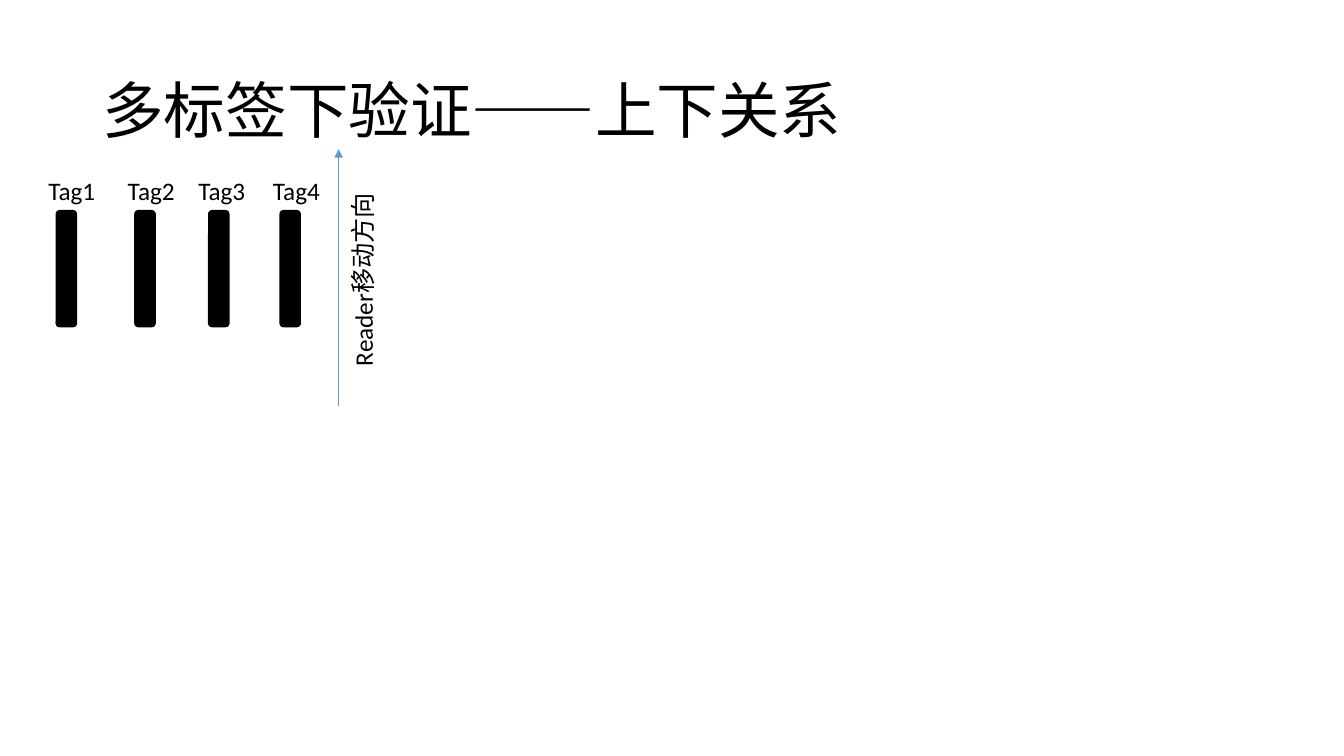
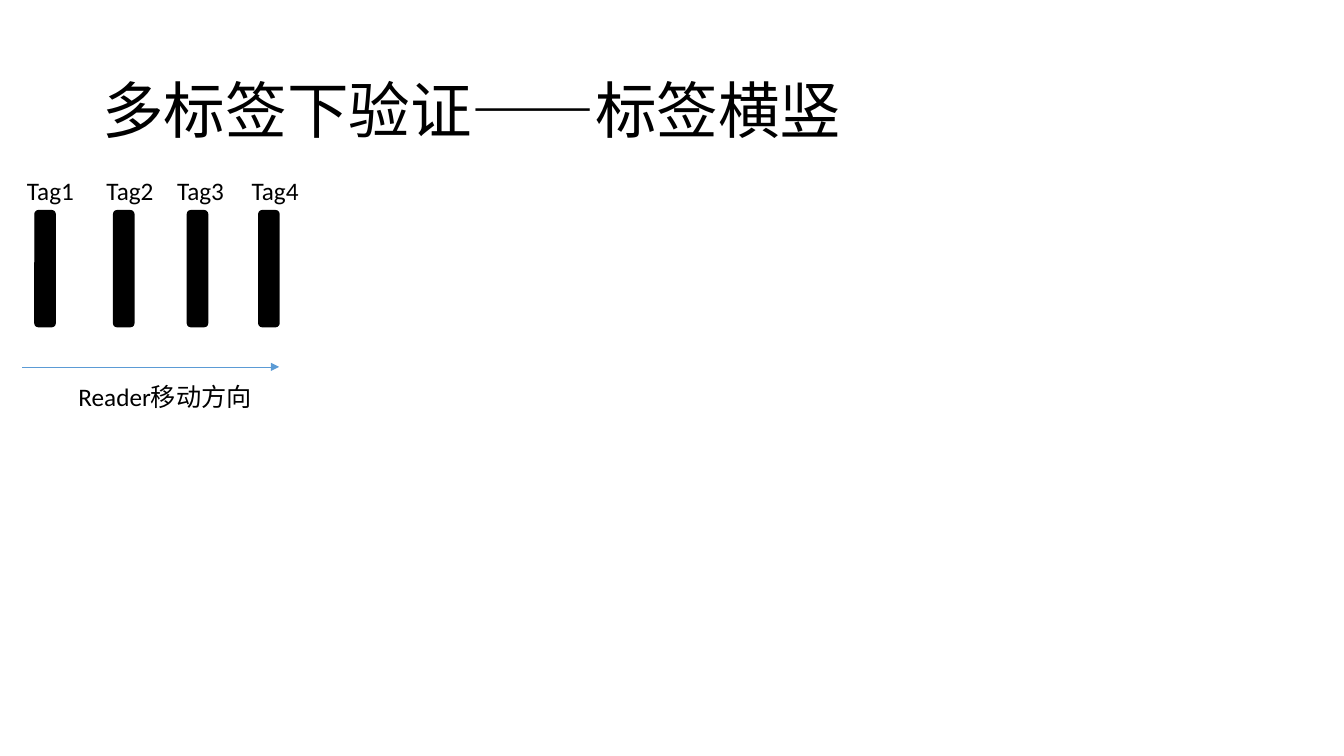
from lxml import etree
from pptx import Presentation
from pptx.dml.color import RGBColor
from pptx.enum.lang import MSO_LANGUAGE_ID
from pptx.enum.shapes import MSO_CONNECTOR, MSO_SHAPE
from pptx.enum.text import MSO_ANCHOR
from pptx.oxml.ns import qn
from pptx.util import Pt

ROUNDED = MSO_SHAPE.ROUNDED_RECTANGLE
STRAIGHT = MSO_CONNECTOR.STRAIGHT
TOP, MIDDLE = MSO_ANCHOR.TOP, MSO_ANCHOR.MIDDLE
CHINESE = MSO_LANGUAGE_ID.SIMPLIFIED_CHINESE

# Left edges of each tag's bar and label, measured from the row's start
TAGS = [
    ("Tag1", 12.8, 0),
    ("Tag2", 69, 56.8),
    ("Tag3", 121.7, 107.2),
    ("Tag4", 172.7, 160.5),
]


class Slides:
    COLORS = {"ink": "000000", "arrow": "5B9BD5"}
    FONT = "Calibri"

    def __init__(self):
        self.deck = Presentation()
        self.deck.slide_width, self.deck.slide_height = Pt(960), Pt(540)
        self.page = None

    def color(self, name):
        return RGBColor.from_string(self.COLORS[name])

    def add_page(self, title):
        self.page = self.deck.slides.add_slide(self.deck.slide_layouts[6])
        self.text(title, 66, 28.8, 828, 104.4, size=44, anchor=MIDDLE, spacing=0.9)

    def text(self, words, left, top, width, height=28.8, size=18,
             anchor=TOP, spacing=1.0, wrap=True, rotation=0):
        box = self.page.shapes.add_textbox(Pt(left), Pt(top), Pt(width), Pt(height))
        box.rotation = rotation
        frame = box.text_frame
        frame.word_wrap = wrap
        frame.vertical_anchor = anchor
        para = frame.paragraphs[0]
        para.line_spacing = spacing
        span = para.add_run()
        span.text = words
        span.font.name = self.FONT
        span.font.size = Pt(size)
        span.font.language_id = CHINESE
        span.font.color.rgb = self.color("ink")

    def bar(self, left, top, width, height):
        bar = self.page.shapes.add_shape(ROUNDED, Pt(left), Pt(top), Pt(width), Pt(height))
        bar.shadow.inherit = False
        bar.fill.solid()
        bar.fill.fore_color.rgb = self.color("ink")
        bar.line.color.rgb = self.color("ink")
        bar.line.width = Pt(1)

    def tag_row(self, start):
        for name, bar_offset, label_offset in TAGS:
            self.bar(start + bar_offset, 150.5, 14.4, 82.8)
            self.text(name, start + label_offset, 121.7, 48.2, wrap=False)

    def arrow(self, x1, y1, x2, y2):
        arrow = self.page.shapes.add_connector(STRAIGHT, Pt(x1), Pt(y1), Pt(x2), Pt(y2))
        arrow.line.color.rgb = self.color("arrow")
        arrow.line.width = Pt(0.5)
        etree.SubElement(arrow.line._get_or_add_ln(), qn("a:tailEnd"), type="triangle")
        etree.SubElement(arrow._element.spPr, qn("a:effectLst"))

    def direction(self, left, top, rotation=0):
        """Caption for the reader's direction of movement."""
        self.text("Reader移动方向", left, top, 139.7, rotation=rotation)


def main():
    slides = Slides()

    slides.add_page("多标签下验证——上下关系")
    slides.tag_row(27.4)
    slides.arrow(241.9, 290.2, 241.9, 106.6)
    slides.direction(189.4, 184.3, rotation=270)

    slides.add_page("多标签下验证——标签横竖")
    slides.tag_row(12.2)
    slides.arrow(15.8, 262.1, 199.4, 262.1)
    slides.direction(49, 268.6)

    slides.deck.save("out.pptx")


if __name__ == "__main__":
    main()
